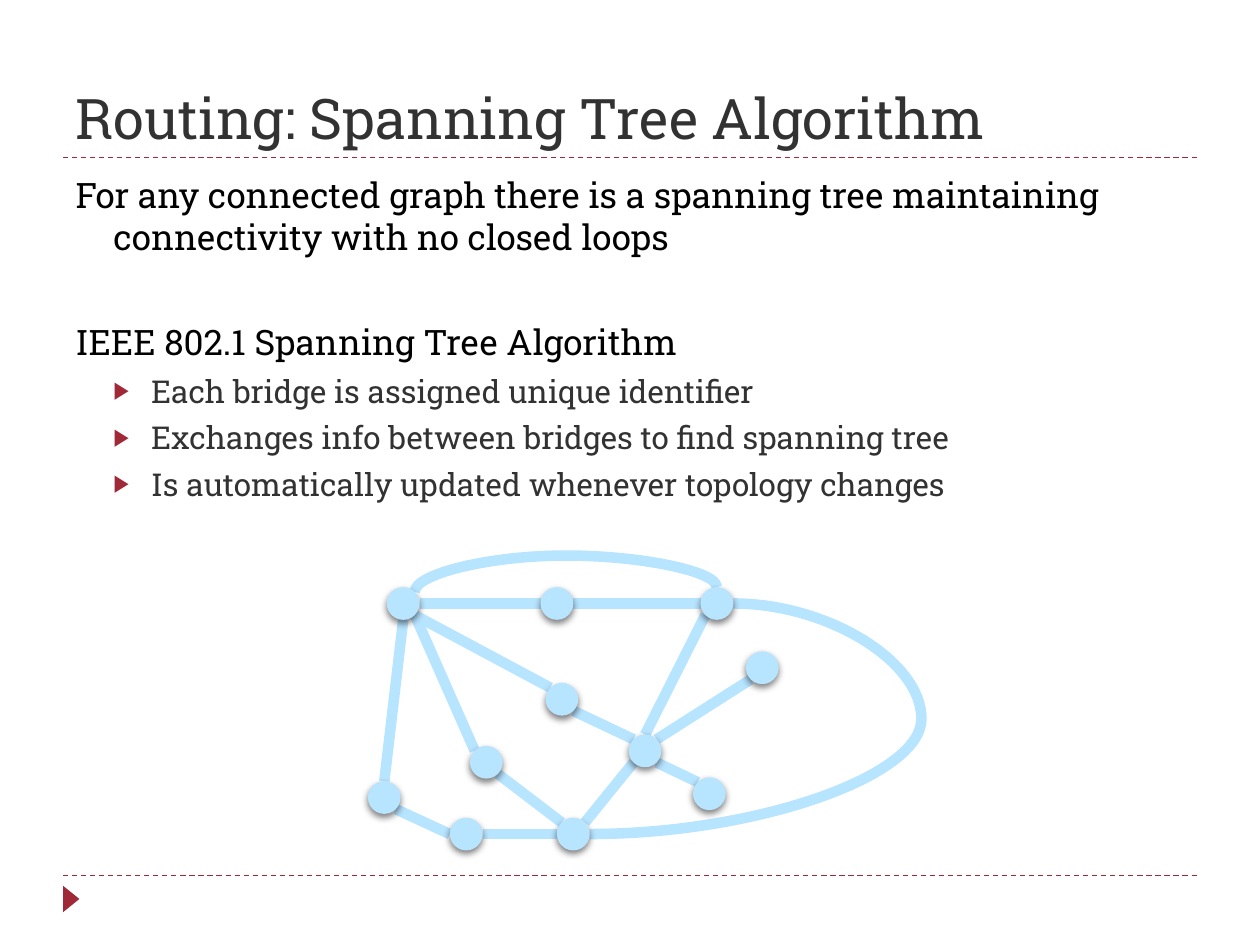
from lxml import etree
from pptx import Presentation
from pptx.dml.color import RGBColor
from pptx.enum.dml import MSO_LINE
from pptx.enum.shapes import MSO_CONNECTOR, MSO_SHAPE
from pptx.enum.text import MSO_ANCHOR, MSO_AUTO_SIZE, PP_ALIGN
from pptx.oxml import parse_xml
from pptx.oxml.ns import nsdecls, qn
from pptx.util import Inches, Pt

RED = RGBColor(0x9F, 0x29, 0x36)
BLUE = RGBColor(0xB7, 0xE4, 0xFF)
GRAY = RGBColor(0x32, 0x32, 0x32)
BLACK = RGBColor(0, 0, 0)
FONT = "Roboto Slab"

# Text, level, space before in points
BODY = [
    ("For any connected graph there is a spanning tree maintaining "
     "connectivity with no closed loops", 0, 6),
    ("IEEE 802.1 Spanning Tree Algorithm", 0, 36),
    ("Each bridge is assigned unique identifier", 1, 5),
    ("Exchanges info between bridges to find spanning tree", 1, 5),
    ("Is automatically updated whenever topology changes", 1, 5),
]

# Centres of the bridges, relative to the graph area
NODE_SIZE = 0.26
NODES = {
    "root": (0.28, 0.39), "top": (1.5, 0.39), "corner": (2.77, 0.39),
    "middle": (1.54, 1.15), "hub": (2.2, 1.56), "inner": (0.94, 1.65),
    "left": (0.13, 1.93), "low": (0.78, 2.22), "bottom": (1.63, 2.22),
    "upper leaf": (3.13, 0.9), "lower leaf": (2.71, 1.9),
}
# Points on a node's rim, as shares of its radius
RIM = {
    "n": (0, -1), "s": (0, 1), "w": (-1, 0), "e": (1, 0),
    "nw": (-0.71, -0.71), "ne": (0.71, -0.71),
    "sw": (-0.71, 0.71), "se": (0.71, 0.71),
}
EDGES = [
    ("root", "e", "top", "w"), ("top", "e", "corner", "w"),
    ("root", "se", "inner", "nw"), ("root", "se", "middle", "nw"),
    ("root", "s", "left", "n"), ("corner", "sw", "hub", "n"),
    ("inner", "se", "bottom", "nw"), ("hub", "sw", "bottom", "ne"),
    ("bottom", "w", "low", "e"), ("low", "w", "left", "se"),
    ("middle", "se", "hub", "nw"), ("upper leaf", "sw", "hub", "ne"),
    ("lower leaf", "nw", "hub", "se"),
]


def add_line(slide, start, end, color, width, kind=MSO_CONNECTOR.STRAIGHT):
    line = slide.shapes.add_connector(
        kind, *(Inches(value) for value in (*start, *end)))
    line.line.color.rgb = color
    line.line.width = Pt(width)
    etree.SubElement(line._element.spPr, qn("a:effectLst"))
    return line


def add_curve(slide, start, end, bend, rotation=0):
    """Curved edge; bend is the turning point as a share of the box width."""
    curve = add_line(slide, start, end, BLUE, 6, MSO_CONNECTOR.CURVE)
    properties = curve._element.spPr
    adjustments = properties.find(qn("a:prstGeom")).get_or_add_avLst()
    etree.SubElement(adjustments, qn("a:gd"), name="adj1",
                     fmla=f"val {round(bend * 100000)}")
    if rotation:
        properties.find(qn("a:xfrm")).set("rot", str(rotation * 60000))


def add_frame(slide, left, top, width, height):
    """Dashed rules above and below the content, and the corner marker."""
    for y in (top, top + height):
        rule = add_line(slide, (left, y), (left + width, y), RED, 0.75)
        rule.line.dash_style = MSO_LINE.DASH
    marker = slide.shapes.add_shape(
        MSO_SHAPE.ISOSCELES_TRIANGLE, Inches(left - 0.04),
        Inches(top + height + 0.12), Inches(0.21), Inches(0.13))
    marker.rotation = 90
    marker.shadow.inherit = False
    marker.fill.solid()
    marker.fill.fore_color.rgb = RED
    marker.line.fill.background()


def place(shape, left, top, width, height):
    shape.left, shape.top = Inches(left), Inches(top)
    shape.width, shape.height = Inches(width), Inches(height)
    shape.text_frame.word_wrap = True
    shape.text_frame.auto_size = MSO_AUTO_SIZE.NONE


def add_run(paragraph, text, size, color):
    run = paragraph.add_run()
    run.text = text
    run.font.name = FONT
    run.font.size = Pt(size)
    run.font.color.rgb = color


def fill_title(title, *box):
    place(title, *box)
    title.text_frame.vertical_anchor = MSO_ANCHOR.BOTTOM
    paragraph = title.text_frame.paragraphs[0]
    paragraph.alignment = PP_ALIGN.LEFT
    add_run(paragraph, "Routing: Spanning Tree Algorithm", 32, GRAY)


def set_bullet(paragraph, level):
    properties = paragraph._p.get_or_add_pPr()
    properties.set("marL", str(Inches(0.3 * (level + 1))))
    properties.set("indent", str(Inches(-0.3)))
    if level == 0:
        etree.SubElement(properties, qn("a:buNone"))
        return
    color = etree.SubElement(properties, qn("a:buClr"))
    etree.SubElement(color, qn("a:srgbClr"), val=str(RED))
    etree.SubElement(properties, qn("a:buSzPct"), val="76000")
    etree.SubElement(properties, qn("a:buChar"), char="▶")


def fill_body(body, *box):
    place(body, *box)
    frame = body.text_frame
    for index, (text, level, space) in enumerate(BODY):
        paragraph = frame.add_paragraph() if index else frame.paragraphs[0]
        paragraph.level = level
        paragraph.space_before = Pt(space)
        set_bullet(paragraph, level)
        add_run(paragraph, text, *((18, GRAY) if level else (20, BLACK)))


def add_node(slide, x, y):
    corner = (Inches(x - NODE_SIZE / 2), Inches(y - NODE_SIZE / 2))
    node = slide.shapes.add_shape(
        MSO_SHAPE.OVAL, *corner, Inches(NODE_SIZE), Inches(NODE_SIZE))
    node.fill.solid()
    node.fill.fore_color.rgb = BLUE
    node.line.fill.background()
    node._element.spPr.append(parse_xml(
        f'<a:effectLst {nsdecls("a")}><a:outerShdw blurRad="{Pt(4)}" '
        f'dist="{Pt(2)}" dir="5400000" rotWithShape="0">'
        '<a:srgbClr val="000000"><a:alpha val="50000"/></a:srgbClr>'
        '</a:outerShdw></a:effectLst>'))


def add_graph(slide, left, top):
    def rim(name, side):
        return tuple(origin + centre + share * NODE_SIZE / 2
                     for origin, centre, share
                     in zip((left, top), NODES[name], RIM[side]))

    for first, first_side, second, second_side in EDGES:
        add_line(slide, rim(first, first_side), rim(second, second_side),
                 BLUE, 6)
    add_curve(slide, rim("bottom", "e"), rim("corner", "e"), 2.31)

    # The arch is a quarter turn of a tall, narrow curve about its middle
    (x1, y1), (x2, y2) = rim("corner", "n"), rim("root", "ne")
    middle_x, middle_y = (x1 + x2) / 2, (y1 + y2) / 2
    half_width, half_height = (y2 - y1) / 2, (x1 - x2) / 2
    add_curve(slide, (middle_x + half_width, middle_y + half_height),
              (middle_x - half_width, middle_y - half_height),
              -0.25 / (y2 - y1), 270)

    for x, y in NODES.values():
        add_node(slide, left + x, top + y)


def main():
    presentation = Presentation()
    presentation.slide_width, presentation.slide_height = Inches(10), Inches(7.5)
    slide = presentation.slides.add_slide(presentation.slide_layouts[1])
    add_frame(slide, 0.5, 1.25, 9, 5.7)
    fill_title(slide.shapes.title, 0.5, 0.17, 9, 1.08)
    fill_body(slide.placeholders[1], 0.5, 1.33, 9, 3.33)
    add_graph(slide, 2.92, 4.4)
    presentation.save("out.pptx")


if __name__ == "__main__":
    main()
